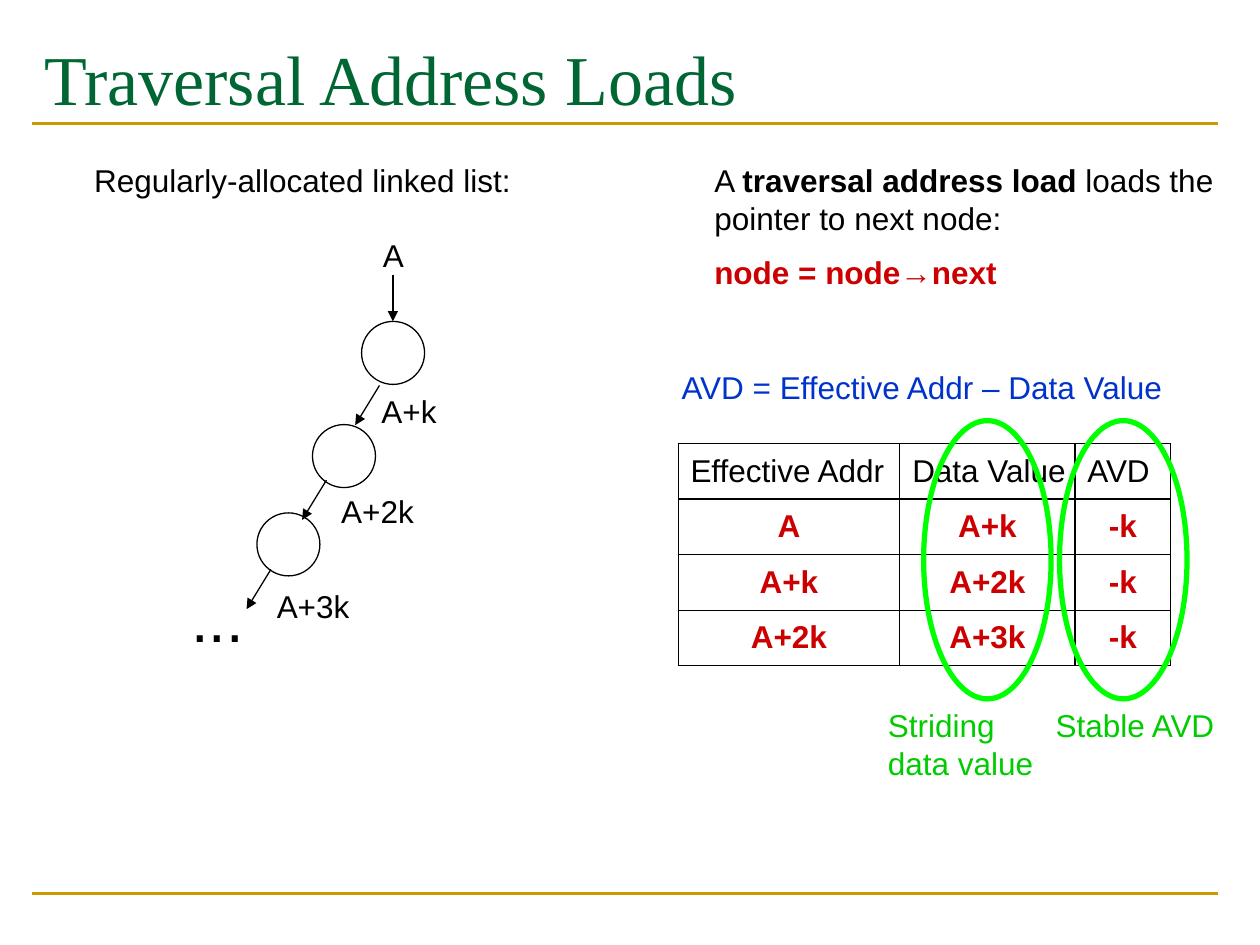
from dataclasses import dataclass

from lxml.etree import SubElement
from pptx import Presentation
from pptx.dml.color import RGBColor
from pptx.enum.shapes import MSO_CONNECTOR, MSO_SHAPE
from pptx.enum.text import MSO_ANCHOR, PP_ALIGN
from pptx.oxml.ns import qn
from pptx.util import Cm, Pt


@dataclass(frozen=True)
class Theme:
    """Colours, fonts, type sizes and line widths of the slide."""
    black: str = "000000"
    gold: str = "CC9900"
    title: str = "006633"
    red: str = "CC0000"
    blue: str = "0033CC"
    ring: str = "00FF00"
    caption: str = "00CC00"
    body_font: str = "Arial"
    title_font: str = "Times New Roman"
    body_size: float = 18
    dots_size: float = 36
    title_size: float = 40
    thin: float = 0.75
    rule: float = 1.5
    thick: float = 3


THEME = Theme()
ROW = 1.02
NODE = 1.27


def set_all(target, values):
    """Set every attribute named in a dict of format values."""
    for name, value in values.items():
        setattr(target, name, value)


def add_span(para, text, color=THEME.black, size=THEME.body_size,
             font=THEME.body_font, bold=False):
    """Append one formatted run to a paragraph."""
    span = para.add_run()
    span.text = text
    set_all(span.font, {"name": font, "size": Pt(size), "bold": bold})
    span.font.color.rgb = RGBColor.from_string(color)


def add_text(slide, place, *paragraphs, wrap=True, top=0.13):
    """Add a text box; each paragraph is a list of (text, format) spans."""
    box = slide.shapes.add_textbox(*map(Cm, place))
    set_all(box.text_frame, {"word_wrap": wrap, "margin_top": Cm(top)})
    for index, spans in enumerate(paragraphs):
        para = box.text_frame.add_paragraph() if index else box.text_frame.paragraphs[0]
        para.space_before = Pt(9 if index else 0)
        for text, style in spans:
            add_span(para, text, **style)


def add_ellipse(slide, place, color, width):
    """Add an unfilled ellipse."""
    shape = slide.shapes.add_shape(MSO_SHAPE.OVAL, *map(Cm, place))
    shape.shadow.inherit = False
    shape.fill.background()
    shape.line.color.rgb = RGBColor.from_string(color)
    shape.line.width = Pt(width)


def add_line(slide, ends, color, width, arrow=False):
    """Add a straight line, with an arrowhead at its end if asked."""
    line = slide.shapes.add_connector(MSO_CONNECTOR.STRAIGHT, *map(Cm, ends))
    line.line.color.rgb = RGBColor.from_string(color)
    line.line.width = Pt(width)
    if arrow:
        SubElement(line.line._get_or_add_ln(), qn("a:tailEnd"), type="triangle")
    SubElement(line._element.spPr, qn("a:effectLst"))


def add_borders(cell):
    """Draw thin black borders on all sides of a cell."""
    properties = cell._tc.get_or_add_tcPr()
    for index, side in enumerate(("a:lnL", "a:lnR", "a:lnT", "a:lnB")):
        border = properties.makeelement(qn(side), {"w": str(Pt(THEME.thin))})
        fill = SubElement(border, qn("a:solidFill"))
        SubElement(fill, qn("a:srgbClr"), val=THEME.black)
        properties.insert(index, border)


def add_grid(slide, left, top, widths, height, rows):
    """Add a bordered table with a plain header and bold red values."""
    place = (left, top, sum(widths), height * len(rows))
    table = slide.shapes.add_table(len(rows), len(widths), *map(Cm, place)).table
    set_all(table, {"first_row": False, "horz_banding": False})
    for column, width in zip(table.columns, widths):
        column.width = Cm(width)
    for row_index, values in enumerate(rows):
        table.rows[row_index].height = Cm(height)
        header = row_index == 0
        for column_index, value in enumerate(values):
            cell = table.cell(row_index, column_index)
            cell.fill.background()
            set_all(cell, {"vertical_anchor": MSO_ANCHOR.MIDDLE,
                           "margin_left": Cm(0.25 if header else 0),
                           "margin_right": Cm(0),
                           "margin_top": Cm(0), "margin_bottom": Cm(0)})
            para = cell.text_frame.paragraphs[0]
            para.alignment = PP_ALIGN.LEFT if header else PP_ALIGN.CENTER
            add_span(para, value, THEME.black if header else THEME.red, bold=not header)
            add_borders(cell)


def add_linked_list(slide):
    """Draw the nodes, the arrows between them and their addresses."""
    for left, top in ((7.29, 6.48), (6.3, 8.56), (5.18, 10.34)):
        add_ellipse(slide, (left, top, NODE, NODE), THEME.black, THEME.thin)
    add_line(slide, (7.92, 5.54, 7.92, 6.48), THEME.black, THEME.thin, arrow=True)
    for x, y in ((7.65, 7.77), (6.58, 9.68), (5.46, 11.48)):
        add_line(slide, (x, y, x - 0.49, y + 0.8), THEME.black, THEME.thin, arrow=True)
    add_text(slide, (7.47, 4.62, 0.94, ROW), [("A", {})], wrap=False)
    for text, left, top in (("A+k", 7.44, 7.77), ("A+2k", 6.63, 9.78),
                            ("A+3k", 5.33, 11.71)):
        add_text(slide, (left, top, 2.39, ROW), [(text, {})])
    add_text(slide, (3.61, 11.56, 1.6, 1.78), [("...", {"size": THEME.dots_size})])


def add_avd_table(slide):
    """Draw the address table with its rings and captions."""
    addresses = ["A", "A+k", "A+2k", "A+3k"]
    rows = [("Effective Addr", "Data Value", "AVD")]
    rows += [(address, value, "-k") for address, value in zip(addresses, addresses[1:])]
    add_grid(slide, 13.67, 8.94, (4.47, 3.53, 1.93), 1.12, rows)
    for left in (18.62, 21.36):
        add_ellipse(slide, (left, 8.48, 2.57, 5.61), THEME.ring, THEME.thick)
    for text, left, width, height in (("Striding data value", 17.65, 3.84, 1.78),
                                      ("Stable AVD", 21.03, 3.99, ROW)):
        add_text(slide, (left, 14.1, width, height), [(text, {"color": THEME.caption})])


def main():
    """Build the slide and save it."""
    deck = Presentation()
    set_all(deck, {"slide_width": Cm(25.4), "slide_height": Cm(19.05)})
    slide = deck.slides.add_slide(deck.slide_layouts[6])
    for y in (18.01, 2.49):
        add_line(slide, (0.64, y, 24.56, y), THEME.gold, THEME.rule)
    add_text(slide, (0.64, 0.43, 23.93, 2.97),
             [("Traversal Address Loads", {"color": THEME.title, "size": THEME.title_size,
                                           "font": THEME.title_font})], top=0.28)
    add_text(slide, (1.65, 3.12, 9.6, ROW), [("Regularly-allocated linked list:", {})])
    add_linked_list(slide)
    add_text(slide, (14.15, 3.12, 10.72, 2.92),
             [("A ", {}), ("traversal address load", {"bold": True}),
              (" loads the pointer to next node:", {})],
             [("node = node→next", {"color": THEME.red, "bold": True})])
    add_avd_table(slide)
    add_text(slide, (13.49, 7.29, 10.41, ROW),
             [("AVD = Effective Addr – Data Value", {"color": THEME.blue})])
    deck.save("out.pptx")


main()
